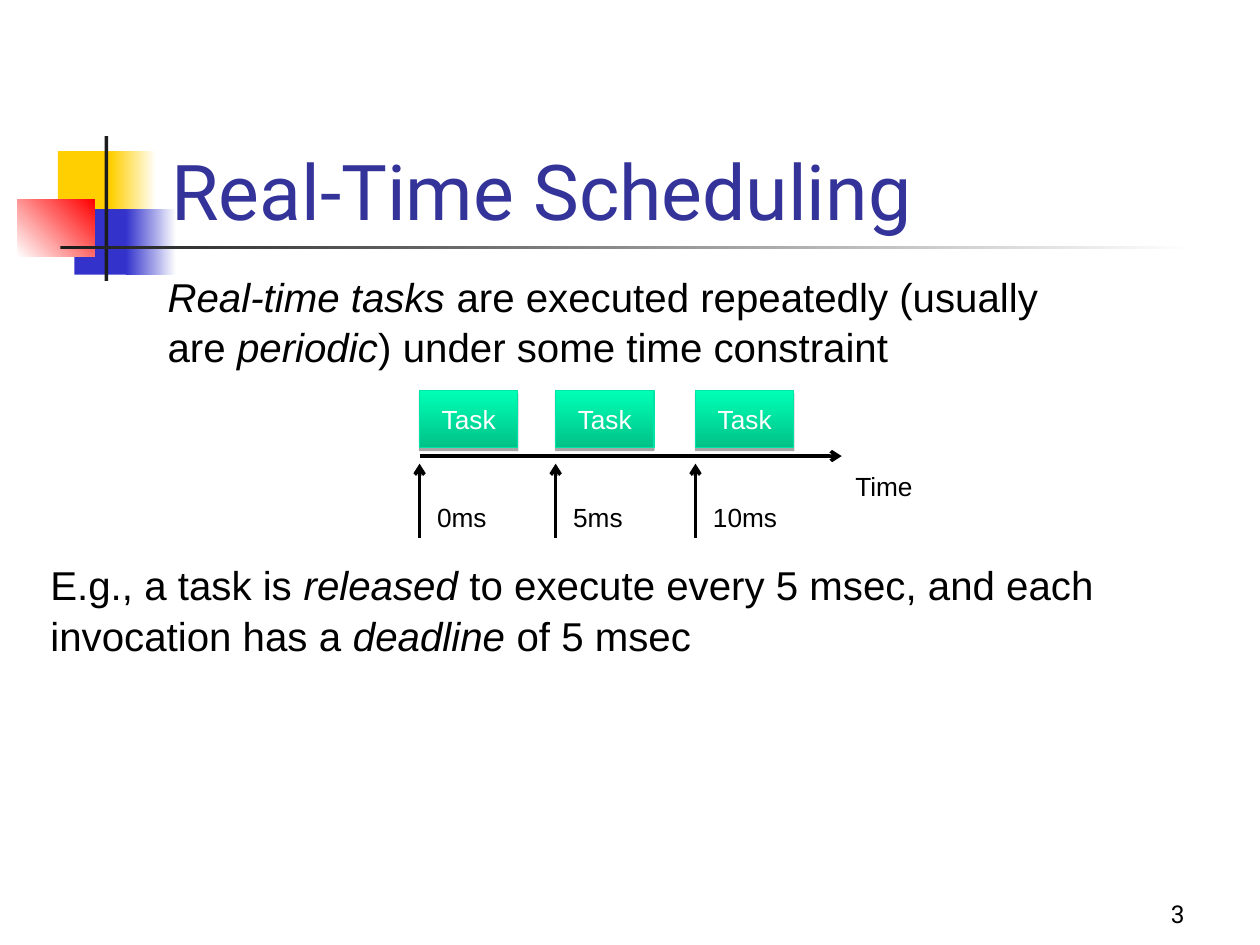
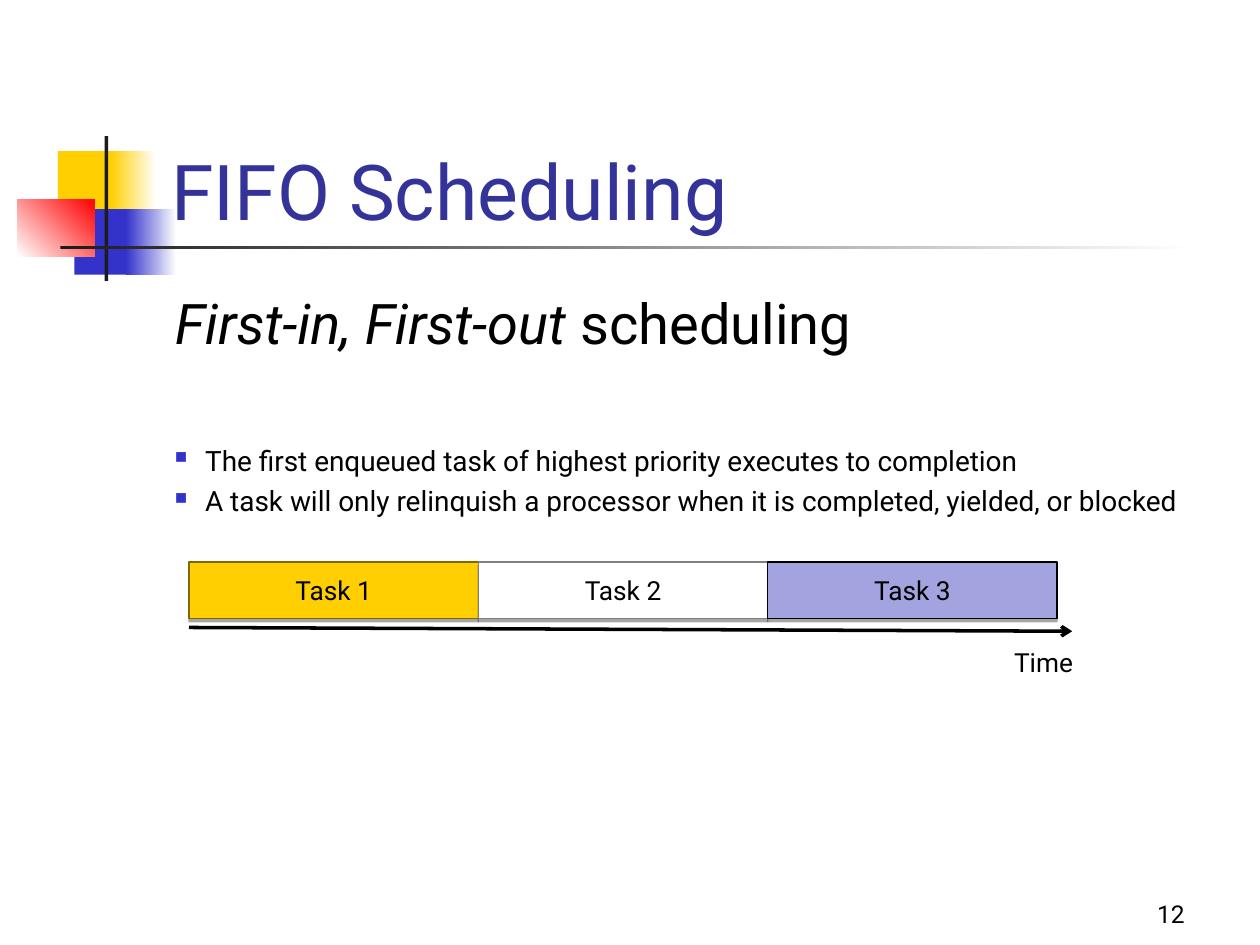
from dataclasses import dataclass

from lxml import etree
from pptx import Presentation
from pptx.dml.color import RGBColor
from pptx.enum.shapes import MSO_CONNECTOR, MSO_SHAPE
from pptx.enum.text import MSO_ANCHOR, MSO_AUTO_SIZE, PP_ALIGN
from pptx.oxml.ns import qn
from pptx.util import Inches, Pt

RECT = MSO_SHAPE.RECTANGLE
LINE = MSO_CONNECTOR.STRAIGHT
TOP, MIDDLE, BOTTOM = MSO_ANCHOR.TOP, MSO_ANCHOR.MIDDLE, MSO_ANCHOR.BOTTOM
LEFT, CENTER, RIGHT = PP_ALIGN.LEFT, PP_ALIGN.CENTER, PP_ALIGN.RIGHT
FIT, FIXED = MSO_AUTO_SIZE.SHAPE_TO_FIT_TEXT, MSO_AUTO_SIZE.NONE


@dataclass(frozen=True)
class Theme:
    sans: str = "Arial"
    main: str = "Roboto"
    ink: str = "000000"
    paper: str = "FFFFFF"
    title: str = "333399"
    gold: str = "FFCF01"
    blue: str = "3333CC"
    red: str = "FF0000"
    dark: str = "1C1C1C"
    lilac: str = "A3A3E0"
    title_size: int = 44
    head_size: int = 32
    text_size: int = 23
    list_size: int = 16
    label_size: int = 15
    page_size: int = 14


T = Theme()
WIDE, HIGH = 10, 7.5

BAND = [
    ((0.46, 1.2, 0.48, 0.52), T.gold),
    ((0.88, 1.2, 0.36, 0.52), (T.gold, T.paper, 0)),
    ((0.59, 1.66, 0.46, 0.52), T.blue),
    ((1, 1.66, 0.4, 0.52), (T.blue, T.paper, 0)),
    ((0.14, 1.58, 0.61, 0.46), (T.paper, T.red, 45)),
    ((0.83, 1.08, 0.03, 1.15), T.dark),
    ((0.48, 1.95, 9, 0.03), (T.dark, T.paper, 0)),
]
MINT = ("00C287", "00FFB6", 90)
MINT_EDGE = "00E4A7"

INTRO = [
    ("Real-time tasks", True),
    (" are executed repeatedly (usually are ", False),
    ("periodic", True),
    (") under some time constraint", False),
]
SAMPLE = [
    ("E.g., a task is ", False),
    ("released", True),
    (" to execute every 5 msec, and each invocation has a ", False),
    ("deadline", True),
    (" of 5 msec", False),
]
TICKS = [("0ms", 3.33, 0.59), ("5ms", 4.41, 0.59), ("10ms", 5.52, 0.71)]

HEAD = [("First-in, First-out ", True), ("scheduling", False)]
POINTS = [
    "The first enqueued task of highest priority executes to completion",
    "A task will only relinquish a processor when it is completed, yielded, or blocked",
]
QUEUE = [
    ("Task 1", T.gold, "806800"),
    ("Task 2", T.paper, "7F7F7F"),
    ("Task 3", T.lilac, T.ink),
]


def color(code):
    return RGBColor.from_string(code)


def style(par, size, font=T.main, tint=T.ink, align=LEFT):
    par.alignment = align
    for run in par.runs:
        run.font.size = Pt(size)
        run.font.name = font
        run.font.color.rgb = color(tint)


def fill_runs(par, parts):
    for text, slant in parts:
        run = par.add_run()
        run.text = text
        run.font.italic = slant


def paint(shape, fill):
    if isinstance(fill, str):
        shape.fill.solid()
        shape.fill.fore_color.rgb = color(fill)
        return
    start, end, angle = fill
    shape.fill.gradient()
    shape.fill.gradient_angle = angle
    for stop, code in zip(shape.fill.gradient_stops, (start, end)):
        stop.color.rgb = color(code)


def block(slide, area, fill):
    shape = slide.shapes.add_shape(RECT, *map(Inches, area))
    shape.shadow.inherit = False
    paint(shape, fill)
    shape.line.fill.background()
    return shape


def task(slide, area, text, fill, edge, font, tint):
    shape = block(slide, area, fill)
    shape.line.color.rgb = color(edge)
    shape.line.width = Pt(0.75)
    glow = shape.element.spPr.find(qn("a:effectLst"))
    cast = etree.SubElement(glow, qn("a:outerShdw"), blurRad="0",
                            dist=str(Pt(1.8)), dir="5400000", rotWithShape="0")
    shade = etree.SubElement(cast, qn("a:srgbClr"), val=T.ink)
    etree.SubElement(shade, qn("a:alpha"), val="35000")
    frame = shape.text_frame
    frame.text = text
    frame.vertical_anchor = MIDDLE
    style(frame.paragraphs[0], T.label_size, font, tint, CENTER)


def arrow(slide, start, end):
    link = slide.shapes.add_connector(LINE, *map(Inches, start + end))
    link.line.color.rgb = color(T.ink)
    link.line.width = Pt(2)
    line = link.line._get_or_add_ln()
    etree.SubElement(line, qn("a:tailEnd"), type="arrow")
    etree.SubElement(link.element.spPr, qn("a:effectLst"))


def box(slide, area, inset=(0.1, 0.05), anchor=TOP):
    frame = slide.shapes.add_textbox(*map(Inches, area)).text_frame
    frame.word_wrap = True
    frame.vertical_anchor = anchor
    frame.margin_left = frame.margin_right = Inches(inset[0])
    frame.margin_top = frame.margin_bottom = Inches(inset[1])
    return frame


def label(slide, area, text, font):
    frame = box(slide, area)
    frame.word_wrap = False
    frame.auto_size = FIT
    frame.text = text
    style(frame.paragraphs[0], T.label_size, font)


def prose(slide, area, parts):
    par = box(slide, area, (0.08, 0.04)).paragraphs[0]
    par.line_spacing = 1.05
    fill_runs(par, parts)
    style(par, T.text_size, T.sans)


def bullet(par):
    props = par._p.get_or_add_pPr()
    props.set("marL", str(Inches(0.24)))
    props.set("indent", str(Inches(-0.24)))
    tint = etree.SubElement(props, qn("a:buClr"))
    etree.SubElement(tint, qn("a:srgbClr"), val=T.blue)
    etree.SubElement(props, qn("a:buSzPct"), val="60000")
    etree.SubElement(props, qn("a:buChar"), char="■")


def new_slide(deck, text, page):
    slide = deck.slides.add_slide(deck.slide_layouts[5])
    for area, fill in BAND:
        block(slide, area, fill)
    title = slide.shapes.title
    title.element.getparent().append(title.element)
    title.left, title.top, title.width, title.height = map(
        Inches, (1.26, 0.67, 8.52, 1.25))
    frame = title.text_frame
    frame.text = text
    frame.auto_size = FIXED
    frame.vertical_anchor = BOTTOM
    style(frame.paragraphs[0], T.title_size, tint=T.title)
    foot = box(slide, (WIDE - 2.58, HIGH - 0.58, 2.08, 0.5), anchor=BOTTOM)
    foot.text = page
    style(foot.paragraphs[0], T.page_size, align=RIGHT)
    return slide


def real_time(deck):
    slide = new_slide(deck, "Real-Time Scheduling", "3")
    prose(slide, (1.25, 2.1, 7.5, 1.04), INTRO)
    arrow(slide, (TICKS[0][1], 3.62), (6.68, 3.62))
    for text, left, width in TICKS:
        task(slide, (left, 3.1, 0.78, 0.45), "Task", MINT, MINT_EDGE,
             T.sans, T.paper)
        arrow(slide, (left, 4.27), (left, 3.68))
        label(slide, (left + 0.04, 3.93, width, 0.35), text, T.sans)
    prose(slide, (0.32, 4.39, 8.78, 2.19), SAMPLE)
    label(slide, (6.69, 3.68, 0.66, 0.35), "Time", T.sans)


def fifo(deck):
    slide = new_slide(deck, "FIFO Scheduling", "12")
    frame = box(slide, (1.29, 2.24, 8.5, 4.5))
    head = frame.paragraphs[0]
    fill_runs(head, HEAD)
    style(head, T.head_size)
    for row, text in enumerate(POINTS):
        par = frame.add_paragraph()
        par.text = text
        bullet(par)
        par.space_before = Pt(4 if row else 50)
        style(par, T.list_size)
    left, width = 1.5, 6.89 / len(QUEUE)
    arrow(slide, (left, 4.98), (8.51, 5.01))
    for col, (text, fill, edge) in enumerate(QUEUE):
        task(slide, (left + col * width, 4.46, width, 0.45), text, fill, edge,
             T.main, T.ink)
    label(slide, (7.95, 5.08, 0.68, 0.35), "Time", T.main)


def main():
    deck = Presentation()
    deck.slide_width, deck.slide_height = Inches(WIDE), Inches(HIGH)
    real_time(deck)
    fifo(deck)
    deck.save("out.pptx")


if __name__ == "__main__":
    main()
